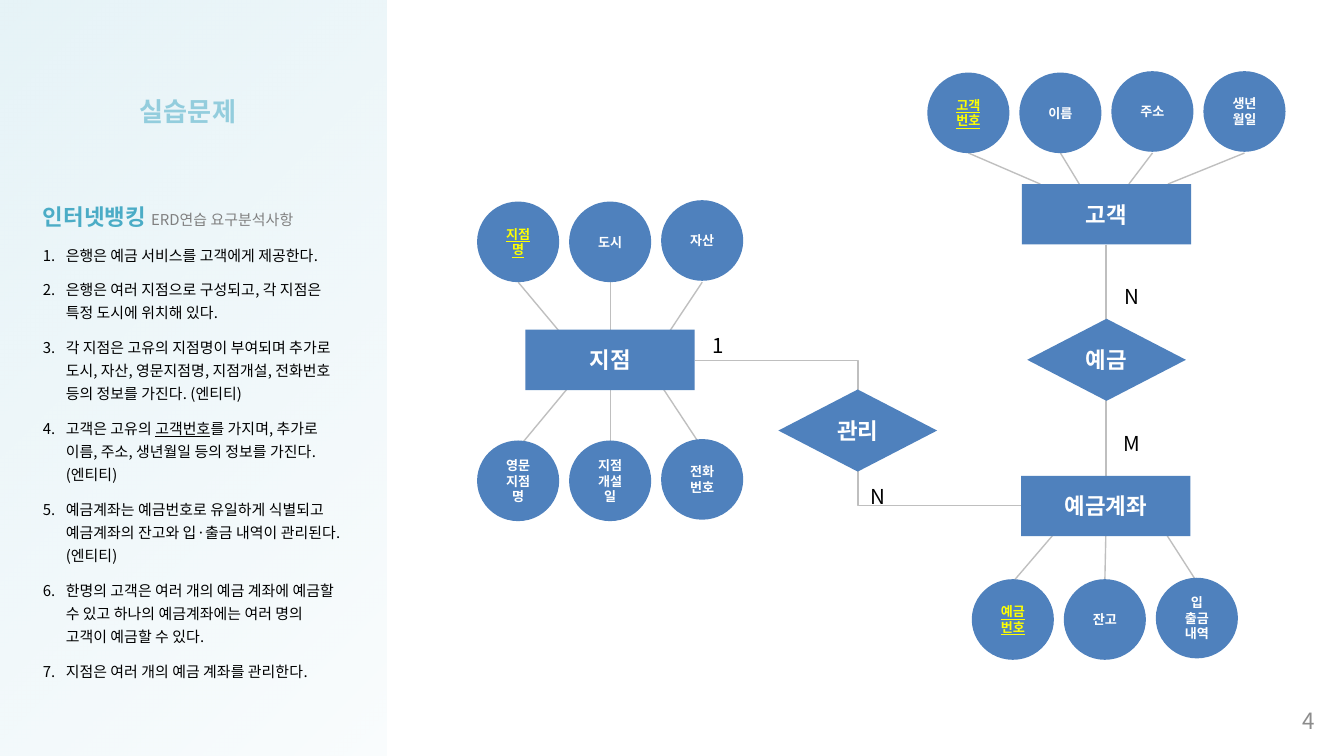
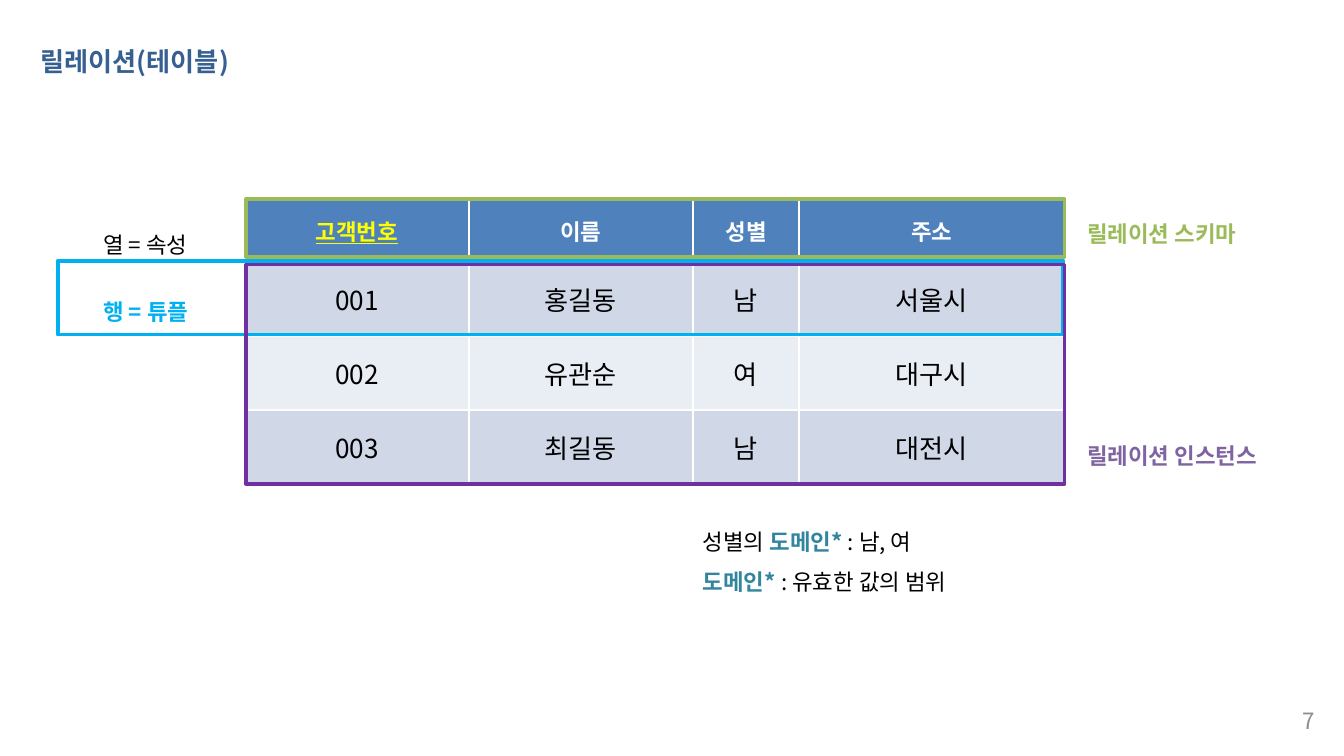
from dataclasses import dataclass
from typing import Any, Optional

from lxml.etree import SubElement
from pptx import Presentation
from pptx.dml.color import RGBColor
from pptx.enum.shapes import MSO_CONNECTOR, MSO_SHAPE
from pptx.enum.text import MSO_ANCHOR, MSO_AUTO_SIZE, PP_ALIGN
from pptx.oxml.ns import qn
from pptx.util import Pt

FONT = "Noto Sans CJK KR"
COLOURS = {
    "panel": "DBEEF4", "blue": "4F81BD", "line": "BFBFBF", "white": "FFFFFF",
    "black": "000000", "key": "FFFF00", "number": "8C8C8C", "grey": "808080",
    "pale_title": "93CDDD", "title": "376092", "heading": "4BACC6",
    "tuple": "00B0F0", "domain": "31859C", "schema": "9BBB59",
    "instance": "8064A2", "instance_frame": "7030A0",
    "band_dark": "D0D8E8", "band_light": "E9EDF4",
}
LABEL_FRAME = {"margin_top": 0, "margin_bottom": Pt(3.6)}
MIDDLE = {"vertical_anchor": MSO_ANCHOR.MIDDLE}
CIRCLE_WIDTH, CIRCLE_HEIGHT, CIRCLE_PITCH = 44, 43.2, 49.3


@dataclass(frozen=True)
class Span:
    """A piece of text with one look."""
    text: str
    size: float = 12
    colour: str = "black"
    bold: bool = False
    underline: bool = False


@dataclass(frozen=True)
class Para:
    """A paragraph made of spans."""
    spans: tuple[Span, ...]
    align: PP_ALIGN = PP_ALIGN.LEFT
    spacing: float = 1.0
    after: float = 0
    hang: float = 0
    numbered: bool = False


@dataclass(frozen=True)
class Area:
    """A rectangle in points."""
    left: float
    top: float
    width: float
    height: float

    def lengths(self) -> tuple[int, ...]:
        """Return the four lengths for python-pptx."""
        return tuple(Pt(value) for value in (self.left, self.top, self.width, self.height))


@dataclass(frozen=True)
class AttributeRow:
    """A row of attribute circles joined to an entity."""
    left: float
    top: float
    names: tuple[str, ...]
    spoke_start: float
    spoke_end: float
    spoke_columns: tuple[float, ...]
    keyed: bool = True


@dataclass(frozen=True)
class Node:
    """An entity or a relationship."""
    kind: MSO_SHAPE
    area: Area
    name: str


def apply(target: Any, values: dict[str, Any]) -> None:
    """Set every named attribute on the target."""
    for name, value in values.items():
        setattr(target, name, value)


def rgb(name: str) -> RGBColor:
    """Look up a colour."""
    return RGBColor.from_string(COLOURS[name])


def add_span(para: Any, span: Span) -> None:
    """Add a span, turning newlines into line breaks."""
    for index, text in enumerate(span.text.split("\n")):
        if index:
            para.add_line_break()
        run = para.add_run()
        run.text = text
        apply(run.font, {"name": FONT, "size": Pt(span.size), "bold": span.bold,
                         "underline": span.underline})
        run.font.color.rgb = rgb(span.colour)
        SubElement(run._r.get_or_add_rPr(), qn("a:ea"), typeface=FONT)


def write(frame: Any, paras: list[Para], values: Optional[dict[str, Any]] = None) -> None:
    """Fill a text frame with paragraphs."""
    apply(frame, {"word_wrap": True, "auto_size": MSO_AUTO_SIZE.NONE,
                  "vertical_anchor": MSO_ANCHOR.TOP, **(values or {})})
    for index, item in enumerate(paras):
        para = frame.add_paragraph() if index else frame.paragraphs[0]
        apply(para, {"alignment": item.align, "line_spacing": item.spacing,
                     "space_before": Pt(0), "space_after": Pt(item.after)})
        properties = para._p.get_or_add_pPr()
        properties.set("marL", str(Pt(item.hang)))
        properties.set("indent", str(-Pt(item.hang)))
        if item.numbered:
            SubElement(properties, qn("a:buFont"), typeface=FONT)
            SubElement(properties, qn("a:buAutoNum"), type="arabicPeriod")
        else:
            SubElement(properties, qn("a:buNone"))
        for span in item.spans:
            add_span(para, span)


def place(box: Any, area: Area) -> None:
    """Move and size a placeholder."""
    apply(box, dict(zip(("left", "top", "width", "height"), area.lengths())))


def add_text(page: Any, area: Area, paras: list[Para],
             values: Optional[dict[str, Any]] = None) -> None:
    """Add a text box."""
    write(page.shapes.add_textbox(*area.lengths()).text_frame, paras, values)


def add_page(deck: Any, layout: int, number: str, title: str, area: Area,
             colour: str, wrap: bool) -> Any:
    """Add a slide with its title and page number."""
    page = deck.slides.add_slide(deck.slide_layouts[layout])
    place(page.shapes.title, area)
    write(page.shapes.title.text_frame, [Para((Span(title, 14, colour, True),))],
          {"word_wrap": wrap})
    add_text(page, Area(671, 375, 40.3, 21.6),
             [Para((Span(number, 12, "number"),), PP_ALIGN.RIGHT)], MIDDLE)
    return page


def add_line(page: Any, start: tuple[float, float], end: tuple[float, float],
             kind: MSO_CONNECTOR = MSO_CONNECTOR.STRAIGHT) -> None:
    """Add a thin grey connector."""
    line = page.shapes.add_connector(kind, *(Pt(value) for value in start + end))
    line.line.color.rgb = rgb("line")
    line.line.width = Pt(0.75)
    SubElement(line._element.spPr, qn("a:effectLst"))


def add_node(page: Any, node: Node, size: float = 12, key: bool = False) -> None:
    """Add a filled shape with centred bold text."""
    shape = page.shapes.add_shape(node.kind, *node.area.lengths())
    shape.shadow.inherit = False
    shape.fill.solid()
    shape.fill.fore_color.rgb = rgb("blue")
    shape.line.fill.background()
    span = Span(node.name, size, "key" if key else "white", True, key)
    write(shape.text_frame, [Para((span,), PP_ALIGN.CENTER)], MIDDLE)


def add_attributes(page: Any, row: AttributeRow) -> None:
    """Add a row of circles, the third onwards slightly raised."""
    for index, (name, column) in enumerate(zip(row.names, row.spoke_columns)):
        left = row.left + index * CIRCLE_PITCH
        top = row.top - (0.75 if index >= 2 else 0)
        add_line(page, (left + CIRCLE_WIDTH / 2, row.spoke_start), (column, row.spoke_end))
        circle = Node(MSO_SHAPE.OVAL, Area(left, top, CIRCLE_WIDTH, CIRCLE_HEIGHT), name)
        add_node(page, circle, 7, row.keyed and index == 0)


def add_panel(page: Any) -> None:
    """Add the gradient side panel behind everything."""
    panel = page.shapes.add_shape(MSO_SHAPE.RECTANGLE, *Area(0, 0, 207, 405).lengths())
    panel.shadow.inherit = False
    panel.line.fill.background()
    panel.fill.gradient()
    panel.fill.gradient_angle = 135
    for stop in panel.fill.gradient_stops:
        stop.color.rgb = rgb("panel")
    stops = panel._element.spPr.iter(qn("a:srgbClr"))
    for colour, opacity in zip(stops, (15, 69)):
        SubElement(colour, qn("a:alpha"), val=str(opacity * 1000))
    page.shapes._spTree.insert(2, panel._element)


def add_frame(page: Any, area: Area, colour: str) -> None:
    """Add an unfilled outline."""
    frame = page.shapes.add_shape(MSO_SHAPE.RECTANGLE, *area.lengths())
    frame.shadow.inherit = False
    frame.fill.background()
    frame.line.color.rgb = rgb(colour)
    frame.line.width = Pt(2)


def style_cell(cell: Any, text: str, row: int, column: int) -> None:
    """Write, border and fill one table cell."""
    header = row == 0
    key = header and column == 0
    colour = "key" if key else "white" if header else "black"
    span = Span(text, 12 if header else 14, colour, header, key)
    write(cell.text_frame, [Para((span,), PP_ALIGN.CENTER)])
    cell.vertical_anchor = MSO_ANCHOR.MIDDLE
    properties = cell._tc.get_or_add_tcPr()
    for side in "LRTB":
        thick = (header and side == "B") or (row == 1 and side == "T")
        border = SubElement(properties, qn(f"a:ln{side}"), w=str(Pt(3 if thick else 1)))
        fill = SubElement(border, qn("a:solidFill"))
        SubElement(fill, qn("a:srgbClr"), val=COLOURS["white"])
    cell.fill.solid()
    band = "band_dark" if row % 2 else "band_light"
    cell.fill.fore_color.rgb = rgb("blue" if header else band)


def build_exercise(deck: Any) -> None:
    """Build the entity relationship exercise."""
    page = add_page(deck, 1, "4", "실습문제", Area(67.7, 47.5, 71.3, 24.5), "pale_title", False)
    add_panel(page)
    requirements = [
        ("은행은 예금 서비스를 고객에게 제공한다.",),
        ("은행은 여러 지점으로 구성되고, 각 지점은 특정 도시에 위치해 있다.",),
        ("각 지점은 고유의 지점명이 부여되며 추가로 도시, 자산, 영문지점명, 지점개설, "
         "전화번호 등의 정보를 가진다. (엔티티)",),
        ("고객은 고유의 ", "고객번호",
         "를 가지며, 추가로 이름, 주소, 생년월일 등의 정보를 가진다. (엔티티)"),
        ("예금계좌는 예금번호로 유일하게 식별되고 예금계좌의 잔고와 입·출금 내역이 "
         "관리된다. (엔티티)",),
        ("한명의 고객은 여러 개의 예금 계좌에 예금할 수 있고 하나의 예금계좌에는 "
         "여러 명의 고객이 예금할 수 있다.",),
        ("지점은 여러 개의 예금 계좌를 관리한다.",),
    ]
    heading = (Span("인터넷뱅킹 ", 12, "heading", True), Span("ERD연습 요구분석사항", 8, "grey"))
    paras = [Para(heading, spacing=1.3, after=6)]
    for parts in requirements:
        spans = tuple(Span(part, 8, underline=index == 1) for index, part in enumerate(parts))
        paras.append(Para(spans, spacing=1.3, after=6, hang=12.24, numbered=True))
    body = page.placeholders[1]
    place(body, Area(15.8, 100.8, 175.7, 270))
    write(body.text_frame, paras)

    add_line(page, (592.6, 131), (592.6, 254.9))
    add_line(page, (372.2, 193), (547.2, 270.7), MSO_CONNECTOR.ELBOW)
    branch_columns = (305.3, 326.9, 354.2)
    rows = [
        AttributeRow(255.6, 108, ("지점명", "도시", "자산"), 151.2, 184.3, branch_columns),
        AttributeRow(255.6, 236, ("영문\n지점명", "지점\n개설일", "전화\n번호"),
                     240, 206.6, branch_columns, False),
        AttributeRow(496.8, 38.9, ("고객\n번호", "이름", "주소", "생년월일"),
                     82, 98.6, (557.3, 578.2, 604.8, 625.7)),
        AttributeRow(520.6, 310.3, ("예금\n번호", "잔고", "입\n출금\n내역"),
                     311.8, 278.6, (571, 592.6, 619.9)),
    ]
    for row in rows:
        add_attributes(page, row)
    for name, left, top in (("지점", 281.5, 176.6), ("고객", 547.4, 98.6), ("예금계좌", 547, 254.9)):
        add_node(page, Node(MSO_SHAPE.RECTANGLE, Area(left, top, 90.7, 32.4), name))
    for name, left, top in (("예금", 550.3, 170.8), ("관리", 417, 208.7)):
        add_node(page, Node(MSO_SHAPE.DIAMOND, Area(left, top, 85, 44), name))
    for text, left, top, height, align in (
        ("N", 589.7, 146.2, 11.5, PP_ALIGN.CENTER), ("M", 589.7, 223.9, 14.4, PP_ALIGN.CENTER),
        ("N", 459.4, 253.4, 11.5, PP_ALIGN.LEFT), ("1", 374.4, 172.8, 11.5, PP_ALIGN.LEFT),
    ):
        add_text(page, Area(left, top, 33.1, height),
                 [Para((Span(text, 11),), align, 2.0, hang=7.2)], MIDDLE)


def build_relation(deck: Any) -> None:
    """Build the relation table page."""
    page = add_page(deck, 5, "7", "릴레이션(테이블)", Area(14.4, 20.9, 136, 24.5), "title", True)
    records = [
        ("고객번호", "이름", "성별", "주소"),
        ("001", "홍길동", "남", "서울시"),
        ("002", "유관순", "여", "대구시"),
        ("003", "최길동", "남", "대전시"),
    ]
    area = Area(131.2, 106.6, 438.9, 152.6)
    table = page.shapes.add_table(4, 4, *area.lengths()).table
    for column, width in zip(table.columns, (120, 120, 57, 141.9)):
        column.width = Pt(width)
    for row, height in zip(table.rows, (33.8, 39.6, 39.6, 39.6)):
        row.height = Pt(height)
    for row, record in enumerate(records):
        for column, text in enumerate(record):
            style_cell(table.cell(row, column), text, row, column)

    add_text(page, Area(48.2, 102.2, 85, 102.2),
             [Para((Span("열 = 속성"),), spacing=2.5),
              Para((Span("행 = 튜플", 12, "tuple", True),), spacing=2.5)], LABEL_FRAME)
    domain = Span("도메인* ", 12, "domain", True)
    add_text(page, Area(369.4, 275.8, 161.3, 62.6),
             [Para((Span("성별의 "), domain, Span(": 남, 여")), spacing=1.5),
              Para((domain, Span(": 유효한 값의 범위")), spacing=1.5)], LABEL_FRAME)
    add_frame(page, Area(31, 139.7, 538.6, 39.6), "tuple")
    add_frame(page, Area(131.8, 106.6, 438.5, 31), "schema")
    add_frame(page, Area(131.8, 141.8, 438.5, 117.4), "instance_frame")
    for text, top, colour in (("릴레이션 스키마", 107.3, "schema"),
                              ("릴레이션 인스턴스", 226.1, "instance")):
        add_text(page, Area(575.3, top, 114.5, 32.4),
                 [Para((Span(text, 12, colour, True),), spacing=1.5)],
                 {**LABEL_FRAME, **MIDDLE})


def main() -> None:
    """Build and save the deck."""
    deck = Presentation()
    apply(deck, {"slide_width": Pt(720), "slide_height": Pt(405)})
    build_exercise(deck)
    build_relation(deck)
    deck.save("out.pptx")


main()
